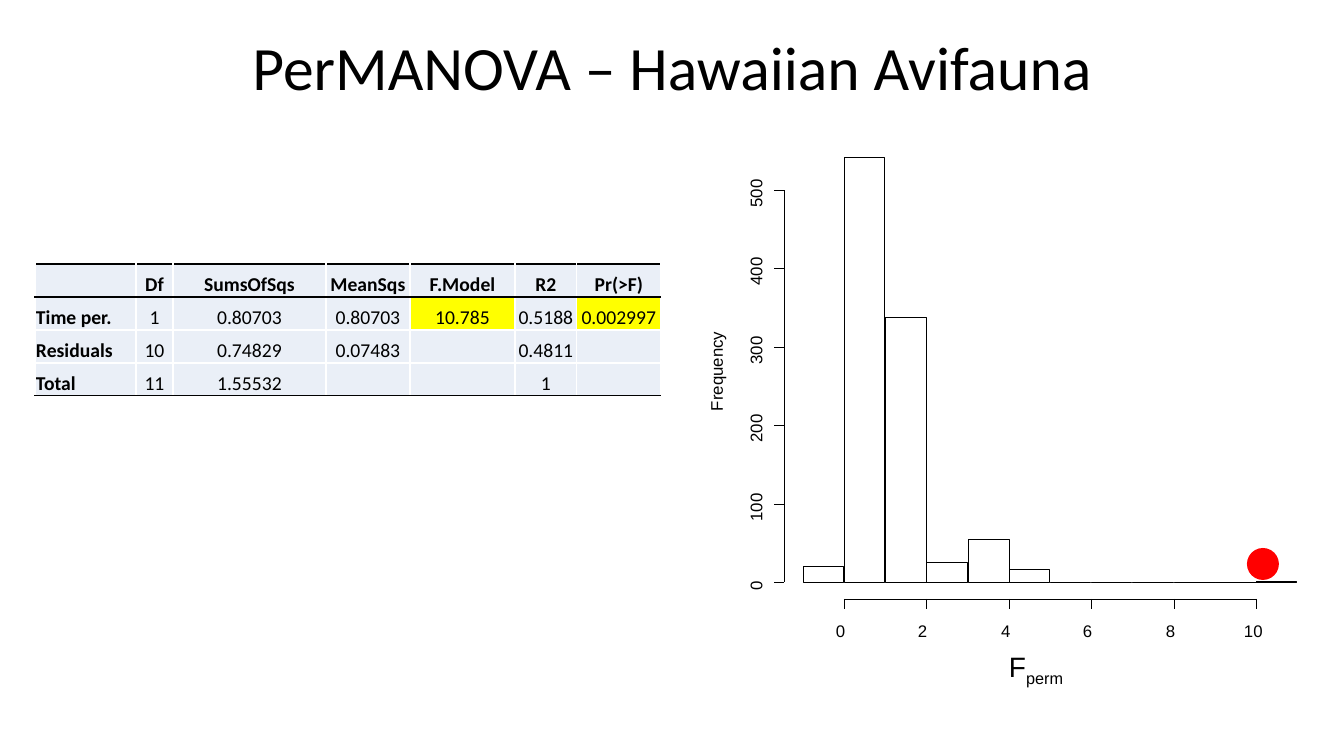
from dataclasses import dataclass

from lxml.etree import SubElement
from pptx import Presentation
from pptx.dml.color import RGBColor as Rgb
from pptx.enum.shapes import MSO_CONNECTOR as Link, MSO_SHAPE as Form
from pptx.enum.text import MSO_ANCHOR as Anchor, MSO_AUTO_SIZE as Fit, PP_ALIGN as Align
from pptx.oxml.ns import qn
from pptx.shapes.autoshape import Shape
from pptx.table import _Cell as Cell
from pptx.text.text import _Paragraph as Para
from pptx.util import Emu, Pt


@dataclass(frozen=True)
class Theme:
    ink: str = "000000"
    white: str = "FFFFFF"
    pale: str = "EAEFF7"
    mark: str = "FFFF00"
    red: str = "FF0000"
    body: str = "Calibri"
    plot: str = "Arial"
    title: int = 44
    grid: int = 14
    tick: int = 12
    axis: int = 20
    hair: float = 0.63
    rule: float = 1


@dataclass(frozen=True)
class Box:
    left: int
    top: int
    width: int
    height: int

    def emu(self) -> tuple[Emu, ...]:
        return tuple(map(px, (self.left, self.top, self.width, self.height)))


@dataclass(frozen=True)
class Label:
    text: str
    x: int
    y: int
    width: int
    height: int = 21
    size: int = Theme.tick
    turn: int = 0
    sub: str = ""


@dataclass(frozen=True)
class Scale:
    zero: int
    span: int
    top: int

    def at(self, value: int) -> int:
        return round(self.zero + self.span * value / self.top)


def px(count: int) -> Emu:
    return Emu(round(count * 914400 / 100.8))


LOOK = Theme()
ACROSS = Scale(844, 412, 10)
UP = Scale(582, -392, 500)
AXIS_X, AXIS_Y, TICK = 784, 599, 10
COUNTS = (20, 542, 338, 25, 55, 16, 0, 0, 0, 0, 0, 1)
WIDTHS = (101, 37, 153, 84, 105, 62, 84)
ROW = 33
ROWS = (
    ("", "Df", "SumsOfSqs", "MeanSqs", "F.Model", "R2", "Pr(>F)"),
    ("Time per.", "1", "0.80703", "0.80703", "10.785", "0.5188", "0.002997"),
    ("Residuals", "10", "0.74829", "0.07483", "", "0.4811", ""),
    ("Total", "11", "1.55532", "", "", "1", ""),
)
MARKED = {(1, 4), (1, 6)}

deck = Presentation()
deck.slide_width, deck.slide_height = px(1344), px(756)
slide = deck.slides.add_slide(deck.slide_layouts[6])
shapes = slide.shapes


def style(para: Para, size: int, face: str, bold: bool = False) -> None:
    font = para.font
    font.size, font.name, font.bold = Pt(size), face, bold
    font.color.rgb = Rgb.from_string(LOOK.ink)


def write(label: Label) -> None:
    box = Box(label.x - label.width // 2, label.y - label.height // 2, label.width, label.height)
    shape = shapes.add_textbox(*box.emu())
    shape.rotation = label.turn
    frame = shape.text_frame
    frame.margin_left = frame.margin_top = frame.margin_right = frame.margin_bottom = 0
    frame.word_wrap = False
    frame.auto_size = Fit.SHAPE_TO_FIT_TEXT
    para = frame.paragraphs[0]
    para.add_run().text = label.text
    if label.sub:
        run = para.add_run()
        run.text = label.sub
        run._r.get_or_add_rPr().set("baseline", "-25000")
    style(para, label.size, LOOK.plot)


def draw(x1: int, y1: int, x2: int, y2: int) -> None:
    line = shapes.add_connector(Link.STRAIGHT, px(x1), px(y1), px(x2), px(y2))
    line.line.color.rgb = Rgb.from_string(LOOK.ink)
    line.line.width = Pt(LOOK.hair)
    SubElement(line._element.spPr, qn("a:effectLst"))


def place(form: Form, box: Box) -> Shape:
    shape = shapes.add_shape(form, *box.emu())
    shape.shadow.inherit = False
    return shape


def edge(cell: Cell, side: str, tint: str) -> None:
    line = SubElement(cell._tc.get_or_add_tcPr(), qn(f"a:ln{side}"), w=str(Pt(LOOK.rule)))
    SubElement(SubElement(line, qn("a:solidFill")), qn("a:srgbClr"), val=tint)


def plot() -> None:
    write(Label("F", 1039, 666, 60, 34, LOOK.axis, sub="perm"))
    write(Label("Frequency", 716, 368, 85, turn=270))
    draw(ACROSS.at(0), AXIS_Y, ACROSS.at(10), AXIS_Y)
    for value in range(0, 11, 2):
        x, text = ACROSS.at(value), str(value)
        draw(x, AXIS_Y, x, AXIS_Y + TICK)
        write(Label(text, x, 631, 7 + 9 * len(text)))
    draw(AXIS_X, UP.at(0), AXIS_X, UP.at(500))
    for value in range(0, 501, 100):
        y, text = UP.at(value), str(value)
        draw(AXIS_X, y, AXIS_X - TICK, y)
        write(Label(text, 756, y, 7 + 9 * len(text), turn=270))
    for start, count in enumerate(COUNTS, -1):
        left, top = ACROSS.at(start), UP.at(count)
        box = Box(left, top, ACROSS.at(start + 1) - left, UP.zero - top)
        bar = place(Form.RECTANGLE, box)
        bar.fill.background()
        bar.line.color.rgb = Rgb.from_string(LOOK.ink)
        bar.line.width = Pt(LOOK.hair)


def head() -> None:
    frame = shapes.add_textbox(*Box(219, 8, 907, 126).emu()).text_frame
    frame.word_wrap = True
    frame.vertical_anchor = Anchor.MIDDLE
    para = frame.paragraphs[0]
    para.text = "PerMANOVA – Hawaiian Avifauna"
    para.alignment, para.line_spacing = Align.CENTER, 0.9
    style(para, LOOK.title, LOOK.body)


def grid() -> None:
    box = Box(35, 264, sum(WIDTHS), ROW * len(ROWS))
    table = shapes.add_table(len(ROWS), len(WIDTHS), *box.emu()).table
    table.first_row = table.horz_banding = False
    for column, width in zip(table.columns, WIDTHS):
        column.width = px(width)
    for r, texts in enumerate(ROWS):
        table.rows[r].height = px(ROW)
        for c, text in enumerate(texts):
            cell = table.cell(r, c)
            cell.margin_left = cell.margin_top = cell.margin_right = px(1)
            cell.margin_bottom = 0
            cell.vertical_anchor = Anchor.BOTTOM
            edge(cell, "L", LOOK.white)
            edge(cell, "R", LOOK.white)
            edge(cell, "T", LOOK.ink if r < 2 else LOOK.white)
            edge(cell, "B", LOOK.ink if r in (0, 3) else LOOK.white)
            cell.fill.solid()
            tint = LOOK.mark if (r, c) in MARKED else LOOK.pale
            cell.fill.fore_color.rgb = Rgb.from_string(tint)
            para = cell.text_frame.paragraphs[0]
            para.text = text
            para.alignment = Align.CENTER if c else Align.LEFT
            style(para, LOOK.grid, LOOK.body, r == 0 or c == 0)


def spot() -> None:
    dot = place(Form.OVAL, Box(1247, 548, 32, 32))
    dot.fill.solid()
    dot.fill.fore_color.rgb = Rgb.from_string(LOOK.red)
    dot.line.fill.background()


def main() -> None:
    plot()
    head()
    grid()
    spot()
    deck.save("out.pptx")


if __name__ == "__main__":
    main()
